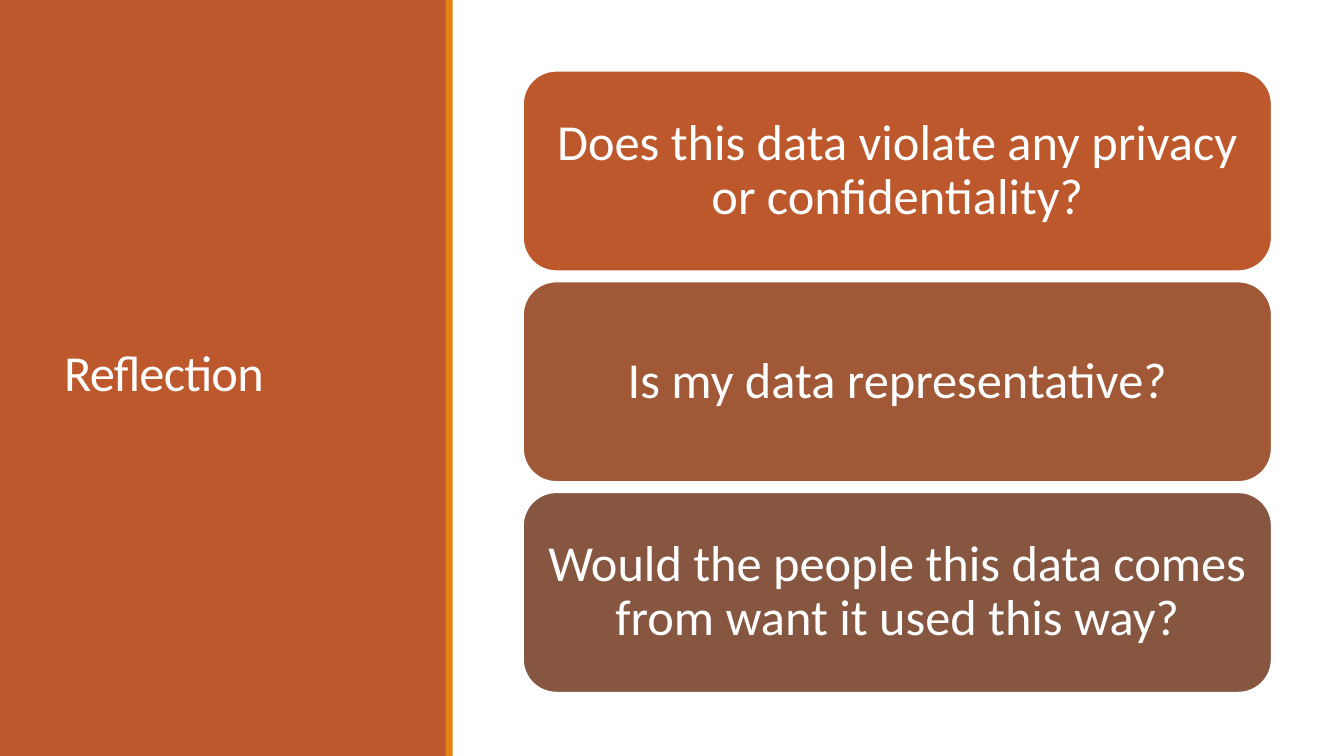
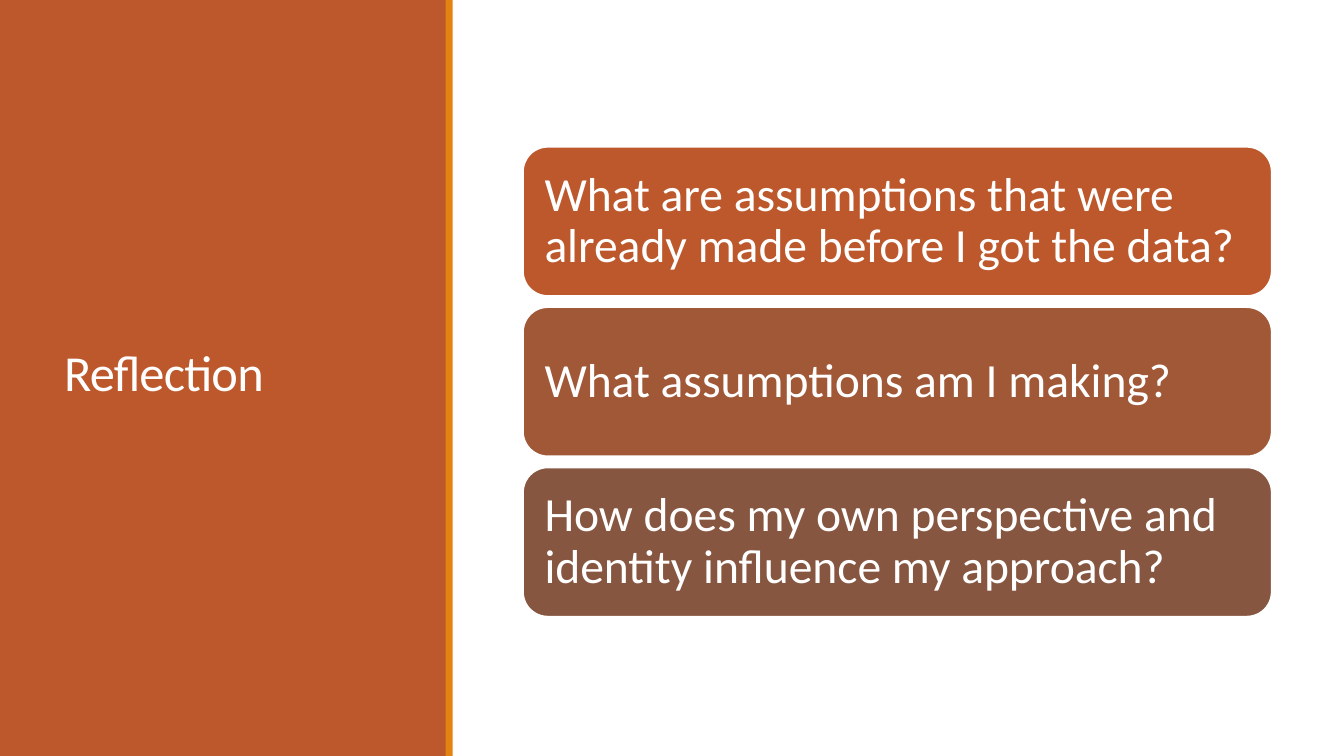
import pptx
import pptx.dml.color
import pptx.enum.shapes
import pptx.enum.text
import pptx.util
from pptx.util import Cm

RUST, ORANGE, WHITE = "BD582C", "E48312", "FFFFFF"
CARD_COLORS = [RUST, "A05837", "865640"]
FONT = "Calibri"
SHAPE = pptx.enum.shapes.MSO_SHAPE
ALIGN = pptx.enum.text.PP_ALIGN


def rgb(value):
    return pptx.dml.color.RGBColor.from_string(value)


def put(s, kind, box, fill=None, text="", size=36, align=ALIGN.LEFT, spacing=0.9):
    """Add a filled shape, or a text box when no kind is given."""
    if kind is None:
        sp = s.shapes.add_textbox(*box)
    else:
        sp = s.shapes.add_shape(kind, *box)
        sp.shadow.inherit = False
        sp.fill.solid()
        sp.fill.fore_color.rgb = rgb(fill)
        sp.line.fill.background()
    if text:
        tf = sp.text_frame
        tf.word_wrap = True
        tf.vertical_anchor = pptx.enum.text.MSO_ANCHOR.MIDDLE
        p = tf.paragraphs[0]
        p.text = text
        p.alignment = align
        p.line_spacing = spacing
        p.font.name = FONT
        p.font.size = pptx.util.Pt(size)
        p.font.color.rgb = rgb(WHITE)
    return sp


# Each slide: questions, text size, alignment, card height, gap, side and top insets
slides = [
    (["Does this data violate any privacy or confidentiality?",
      "Is my data representative?",
      "Would the people this data comes from want it used this way?"],
     36, ALIGN.CENTER, Cm(5.05), Cm(0.26), Cm(0.38), Cm(0.18)),
    (["What are assumptions that were already made before I got the data?",
      "What assumptions am I making?",
      "How does my own perspective and identity influence my approach?"],
     34, ALIGN.LEFT, Cm(3.76), Cm(0.28), Cm(0.36), Cm(0.36)),
]

prs = pptx.Presentation()
prs.slide_width, prs.slide_height = Cm(33.87), Cm(19.05)
card_left, card_width, stack_center = Cm(13.18), Cm(18.87), Cm(9.62)

for questions, size, align, height, gap, inset_x, inset_y in slides:
    s = prs.slides.add_slide(prs.slide_layouts[6])

    # Side panel with title and accent stripe
    put(s, SHAPE.RECTANGLE, (0, 0, Cm(11.25), prs.slide_height), RUST)
    title = put(s, None, (Cm(1.37), Cm(1.45), Cm(8.56), Cm(16.03)),
                text="Reflection", spacing=0.85)
    r = title.text_frame.paragraphs[0].runs[0]
    r.font._element.set("spc", "-50")
    put(s, SHAPE.RECTANGLE, (Cm(11.23), 0, Cm(0.18), prs.slide_height), ORANGE)

    # Stack of question cards, centred vertically
    stack_height = len(questions) * (height + gap) - gap
    top = stack_center - stack_height // 2
    for i, (question, color) in enumerate(zip(questions, CARD_COLORS)):
        box = (card_left, top + i * (height + gap), card_width, height)
        card = put(s, SHAPE.ROUNDED_RECTANGLE, box, color, question, size, align)
        card.line.color.rgb = rgb(WHITE)
        card.line.width = pptx.util.Pt(1.25)
        tf = card.text_frame
        tf.margin_left = tf.margin_right = inset_x
        tf.margin_top = tf.margin_bottom = inset_y

prs.save("out.pptx")
